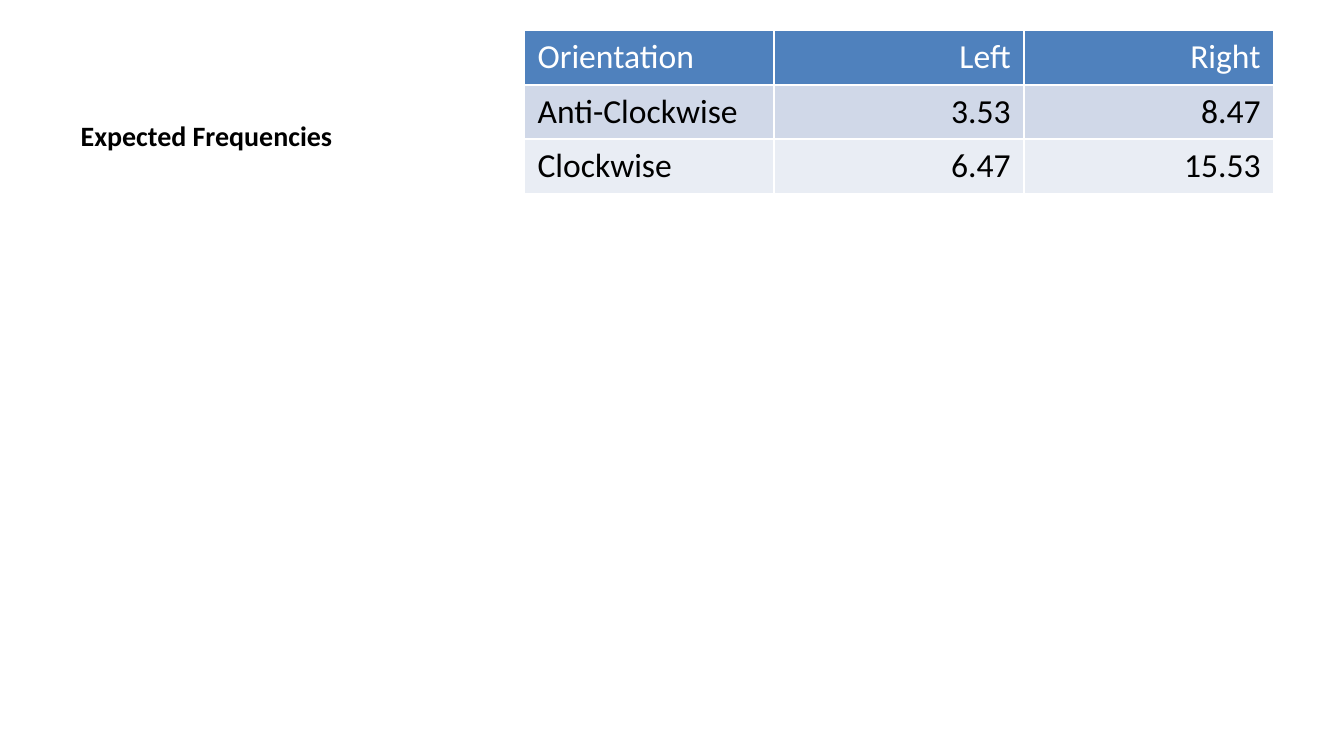
from pptx import Presentation
from pptx.dml.color import RGBColor
from pptx.enum.text import MSO_ANCHOR, MSO_AUTO_SIZE, PP_ALIGN
from pptx.util import Inches, Pt

LEFT, RIGHT = PP_ALIGN.LEFT, PP_ALIGN.RIGHT
BOTTOM = MSO_ANCHOR.BOTTOM
FIXED = MSO_AUTO_SIZE.NONE

TITLE = "Expected Frequencies"
ROWS = [
    ("Orientation", "Left", "Right"),
    ("Anti-Clockwise", "3.53", "8.47"),
    ("Clockwise", "6.47", "15.53"),
]

THEME = {
    "font": "Calibri",
    "head": 15,
    "body": 18,
    "ink": "000000",
    "light": "FFFFFF",
    "top": "4F81BD",
    "bands": ("D0D8E8", "E9EDF4"),
}

WIDE = 10
HIGH = WIDE * 9 / 16
TOP = 0.04 * HIGH
TITLE_BOX = (0.05 * WIDE, TOP, 0.33 * WIDE, 0.17 * HIGH)
COL, ROW = 1.86, 0.4
GRID_BOX = (0.39 * WIDE, TOP, COL * len(ROWS[0]), ROW * len(ROWS))


def write(frame, text, size, color, align, bold=False):
    para = frame.paragraphs[0]
    para.alignment = align
    run = para.add_run()
    run.text = text
    font = run.font
    font.name, font.size, font.bold = THEME["font"], Pt(size), bold
    font.color.rgb = RGBColor.from_string(color)


def add_title(slide):
    title = slide.shapes.title
    title.left, title.top, title.width, title.height = map(Inches, TITLE_BOX)
    frame = title.text_frame
    frame.auto_size = FIXED
    frame.word_wrap = True
    frame.vertical_anchor = BOTTOM
    write(frame, TITLE, THEME["head"], THEME["ink"], LEFT, True)


def add_grid(slide):
    count = len(ROWS), len(ROWS[0])
    table = slide.shapes.add_table(*count, *map(Inches, GRID_BOX)).table
    for r, row in enumerate(ROWS):
        fill = THEME["bands"][(r - 1) % 2] if r else THEME["top"]
        ink = THEME["ink"] if r else THEME["light"]
        for c, text in enumerate(row):
            cell = table.cell(r, c)
            cell.fill.solid()
            cell.fill.fore_color.rgb = RGBColor.from_string(fill)
            align = RIGHT if c else LEFT
            write(cell.text_frame, text, THEME["body"], ink, align)


def main():
    deck = Presentation()
    deck.slide_width, deck.slide_height = Inches(WIDE), Inches(HIGH)
    slide = deck.slides.add_slide(deck.slide_layouts[5])
    add_title(slide)
    add_grid(slide)
    deck.save("out.pptx")


if __name__ == "__main__":
    main()
